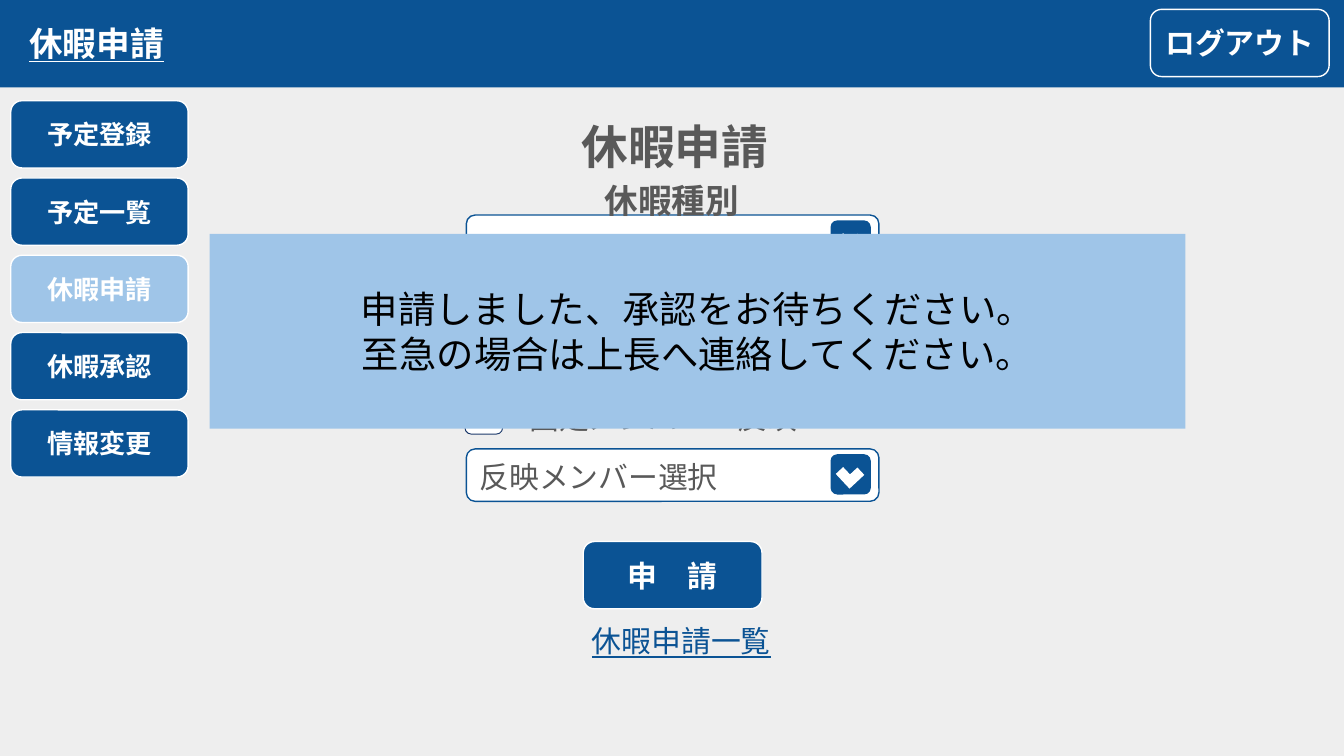
from typing import NamedTuple, Optional

from lxml import etree
from pptx import Presentation
from pptx.dml.color import RGBColor
from pptx.enum.shapes import MSO_SHAPE
from pptx.enum.text import MSO_ANCHOR, PP_ALIGN
from pptx.oxml.ns import qn
from pptx.util import Inches, Pt

RECTANGLE = MSO_SHAPE.RECTANGLE
ROUNDED = MSO_SHAPE.ROUNDED_RECTANGLE
CORNER = MSO_SHAPE.CORNER
LEFT = PP_ALIGN.LEFT
CENTER = PP_ALIGN.CENTER
MIDDLE = MSO_ANCHOR.MIDDLE

FONT = "Noto Sans CJK JP"
NAVY = RGBColor(0x0B, 0x53, 0x94)
CHECK_NAVY = RGBColor(0x1D, 0x3A, 0x6B)
SKY = RGBColor(0x9F, 0xC5, 0xE8)
GRAY = RGBColor(0x59, 0x59, 0x59)
PALE = RGBColor(0xEE, 0xEE, 0xEE)
WHITE = RGBColor(0xFF, 0xFF, 0xFF)
BLACK = RGBColor(0, 0, 0)

COLUMNS, ROWS = 100, 56.25

deck = Presentation()
deck.slide_width = Inches(10)
deck.slide_height = Inches(5.625)
COLUMN = deck.slide_width / COLUMNS
ROW = deck.slide_height / ROWS
slide = deck.slides.add_slide(deck.slide_layouts[6])
slide.background.fill.solid()
slide.background.fill.fore_color.rgb = PALE


class Area(NamedTuple):
    column: float
    row: float
    columns: float
    rows: float

    def emu(self) -> tuple:
        return (round(self.column * COLUMN), round(self.row * ROW),
                round(self.columns * COLUMN), round(self.rows * ROW))


class Button(NamedTuple):
    label: str
    area: Area
    size: float
    fill: RGBColor = NAVY


class Label(NamedTuple):
    text: str
    area: Area
    size: float
    color: RGBColor = GRAY
    bold: bool = False
    underline: bool = False
    align: PP_ALIGN = CENTER


def write(shape, text: str, *, size: float, color: RGBColor, bold: bool = False,
          underline: bool = False, align: PP_ALIGN = CENTER, inset: float = 0.1) -> None:
    frame = shape.text_frame
    frame.word_wrap = True
    frame.vertical_anchor = MIDDLE
    frame.margin_left = frame.margin_right = Inches(inset)
    frame.margin_top = frame.margin_bottom = 0
    for index, line in enumerate(text.split("\n")):
        paragraph = frame.add_paragraph() if index else frame.paragraphs[0]
        paragraph.alignment = align
        run = paragraph.add_run()
        run.text = line
        font = run.font
        font.name, font.size = FONT, Pt(size)
        font.bold, font.underline = bold, underline
        font.color.rgb = color
        etree.SubElement(run._r.get_or_add_rPr(), qn("a:ea"), typeface=FONT)


def draw(kind: MSO_SHAPE, area: Area, fill: RGBColor, outline: Optional[RGBColor] = None,
         weight: float = 0.75):
    shape = slide.shapes.add_shape(kind, *area.emu())
    shape.shadow.inherit = False
    shape.fill.solid()
    shape.fill.fore_color.rgb = fill
    if outline is None:
        shape.line.fill.background()
    else:
        shape.line.color.rgb = outline
        shape.line.width = Pt(weight)
    return shape


def draw_button(button: Button) -> None:
    shape = draw(ROUNDED, button.area, button.fill, WHITE)
    write(shape, button.label, size=button.size, color=WHITE, bold=True, inset=0)


def draw_label(label: Label) -> None:
    box = slide.shapes.add_textbox(*label.area.emu())
    write(box, label.text, size=label.size, color=label.color, bold=label.bold,
          underline=label.underline, align=label.align)


def draw_dropdown(row: float) -> None:
    draw(ROUNDED, Area(34.7, row, 30.7, 3.9), WHITE, NAVY)
    draw(ROUNDED, Area(61.8, row + 0.4, 3, 3), NAVY)
    chevron = draw(CORNER, Area(62.5, row + 1.15, 1.5, 1.5), WHITE)
    chevron.rotation = 317


MENU = ("予定登録", "予定一覧", "休暇申請", "休暇承認", "情報変更")
CURRENT_PAGE = "休暇申請"
MENU_TOP, MENU_PITCH = 7.5, 5.75

BUTTONS = [
    Button("ログアウト", Area(85.6, 0.7, 13.3, 5), 16),
    Button("申　請", Area(43.4, 40.3, 13.3, 5), 16),
] + [
    Button(name, Area(0.8, MENU_TOP + index * MENU_PITCH, 13.2, 5), 14,
           SKY if name == CURRENT_PAGE else NAVY)
    for index, name in enumerate(MENU)
]

LABELS = [
    Label("休暇申請", Area(1.2, 0.7, 31.4, 5), 18, WHITE, True, True, LEFT),
    Label("休暇申請", Area(32.4, 8.9, 35.6, 3.9), 25, bold=True),
    Label("休暇種別", Area(38.2, 12.9, 23.6, 3.9), 18, bold=True),
    Label("固定メンバーへ反映", Area(38.4, 29.2, 27, 3.7), 16, align=LEFT),
    Label("反映メンバー選択", Area(34.7, 33.6, 27, 3.7), 16, align=LEFT),
    Label("休暇申請一覧", Area(34.7, 45.8, 32, 3.7), 16, NAVY, underline=True),
]

draw(RECTANGLE, Area(0, 0, COLUMNS, 6.5), NAVY)
for button in BUTTONS:
    draw_button(button)
for dropdown_row in (16, 33.4):
    draw_dropdown(dropdown_row)
draw(ROUNDED, Area(34.6, 29.5, 2.8, 2.8), WHITE, CHECK_NAVY, 0.5)
for label in LABELS:
    draw_label(label)

notice = draw(RECTANGLE, Area(15.6, 17.4, 72.6, 14.5), SKY)
write(notice, "申請しました、承認をお待ちください。\n至急の場合は上長へ連絡してください。",
      size=20, color=BLACK)

deck.save("out.pptx")
